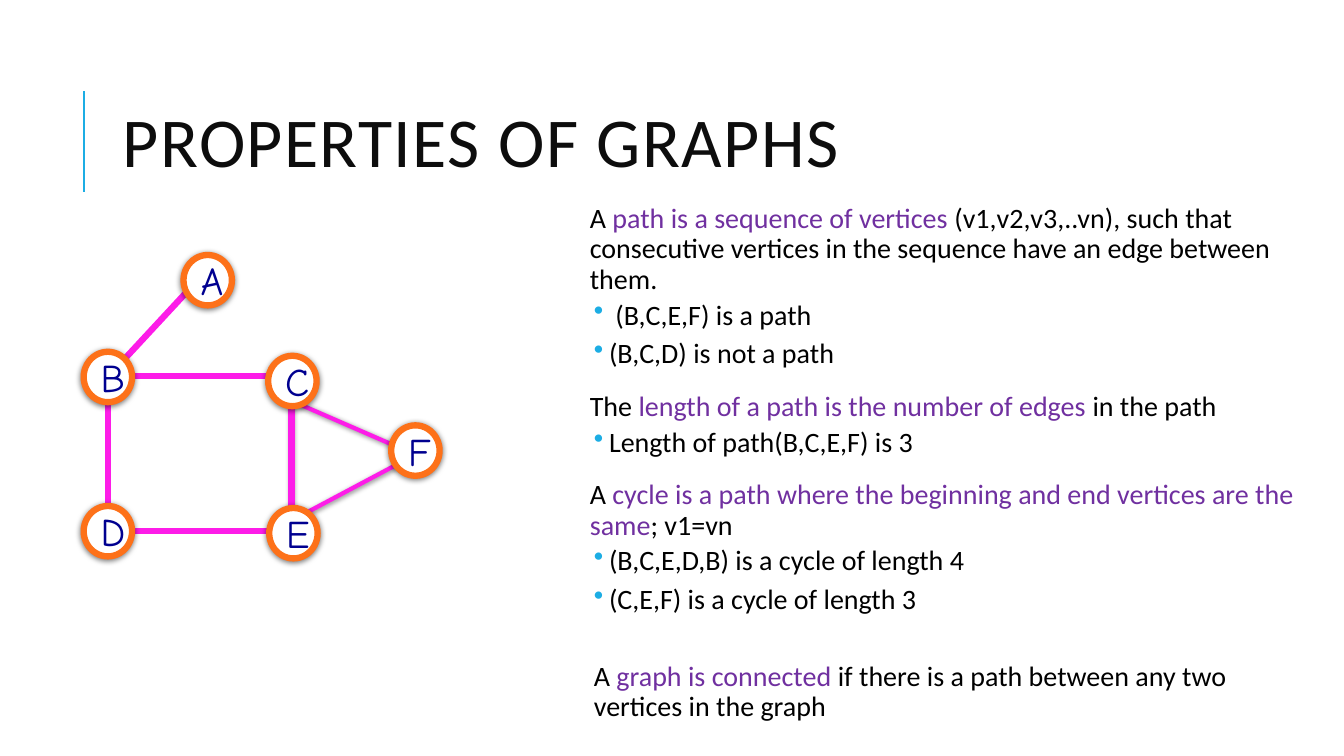
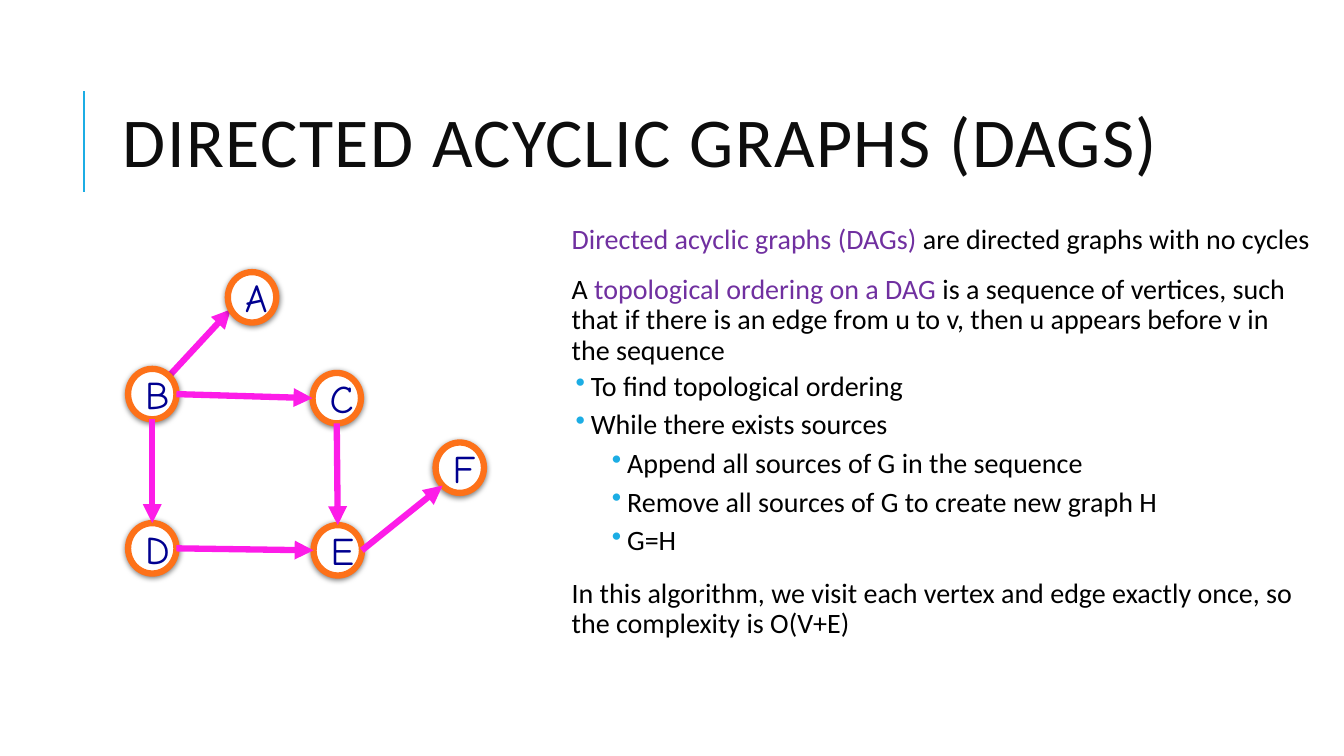
from dataclasses import dataclass

from lxml.etree import SubElement as Sub
from pptx import Presentation
from pptx.dml.color import RGBColor as RGB
from pptx.enum.shapes import MSO_CONNECTOR as LINK, MSO_SHAPE as KIND
from pptx.enum.text import MSO_ANCHOR as ANCHOR, PP_ALIGN as ALIGN
from pptx.oxml.ns import qn
from pptx.util import Inches, Pt


@dataclass(frozen=True)
class Theme:
    accent: str = "1CADE4"
    title: str = "0D0D0D"
    text: str = "000000"
    key: str = "7030A0"
    edge: str = "FD1CE8"
    ring: str = "FD7119"
    node: str = "FFFFFF"
    name: str = "000090"
    font: str = "Calibri"
    hand: str = "Comic Neue"
    big: float = 50
    body: float = 20
    mark: float = 28
    thick: float = 4.5
    thin: float = 3
    rule: float = 1.5


T = Theme()

# style: left margin, bullet, space before, space after
STYLES = {
    "lead": (0.1, False, 12, 2),
    "item": (0.29, True, 2, 4),
    "sub": (0.65, True, 2, 4),
    "note": (0.14, False, 29.5, 4),
}

# Words between bars take the key colour.
PATHS = [
    ("lead", "A |path is a sequence of vertices |(v1,v2,v3,..vn), such that "
             "consecutive vertices in the sequence have an edge between them."),
    ("item", " (B,C,E,F) is a path"),
    ("item", "(B,C,D) is not a path"),
    ("lead", "The |length of a path is the number of edges |in the path"),
    ("item", "Length of path(B,C,E,F) is 3"),
    ("lead", "A |cycle is a path where the beginning and end vertices are "
             "the same|; v1=vn"),
    ("item", "(B,C,E,D,B) is a cycle of length 4"),
    ("item", "(C,E,F) is a cycle of length 3"),
    ("note", "A |graph is connected| if there is a path between any two "
             "vertices in the graph"),
]
DAGS = [
    ("lead", "|Directed acyclic graphs (DAGs) |are directed graphs with no cycles"),
    ("lead", "A |topological ordering on a DAG |is a sequence of vertices, "
             "such that if there is an edge from u to v, then u appears "
             "before v in the sequence"),
    ("item", "To find topological ordering"),
    ("item", "While there exists sources"),
    ("sub", "Append all sources of G in the sequence"),
    ("sub", "Remove all sources of G to create new graph H"),
    ("sub", "G=H"),
    ("lead", "In this algorithm, we visit each vertex and edge exactly once, "
             "so the complexity is O(V+E)"),
]

# Node centres, shared by both graphs
NODES = {"C": (2.9, 3.78), "B": (1.07, 3.74), "D": (1.07, 5.27),
         "E": (2.91, 5.29), "F": (4.12, 4.47), "A": (2.06, 2.78)}
WIDE, HIGH = 0.48, 0.5
SHIFT = (0.44, 0.17)

# Points on a node, in half widths and half heights from its centre
SIDES = {"mid": (0, 0), "left": (-1, 0), "right": (1, 0), "top": (0, -1),
         "foot": (0, 1), "low left": (-0.71, 0.71), "near left": (-0.88, 0.48)}
BRANCH = ("B", "mid", "A", "near left")
ARROWS = [
    ("B", "right", "C", "left"),
    ("B", "foot", "D", "top"),
    ("D", "right", "E", "left"),
    ("C", "foot", "E", "top"),
    ("E", "right", "F", "low left"),
]


def paint(line, color, width):
    line.color.rgb = RGB.from_string(color)
    line.width = Pt(width)


def style(para, font, size, color):
    para.font.name, para.font.size = font, Pt(size)
    para.font.color.rgb = RGB.from_string(color)


def shade(shape):
    """Give the shape a soft shadow below."""
    shape.shadow.inherit = False
    fx = shape.element.spPr.find(qn("a:effectLst"))
    drop = Sub(fx, qn("a:outerShdw"), blurRad=str(Pt(4)), dist=str(Pt(1)),
               dir="5400000", rotWithShape="0")
    tone = Sub(drop, qn("a:srgbClr"), val="000000")
    Sub(tone, qn("a:alpha"), val="50000")


def stroke(slide, start, end, color, width, arrow=False):
    ends = [Inches(v) for v in (*start, *end)]
    link = slide.shapes.add_connector(LINK.STRAIGHT, *ends)
    paint(link.line, color, width)
    props = link.element.spPr
    if arrow:
        Sub(props.find(qn("a:ln")), qn("a:tailEnd"), type="triangle")
    Sub(props, qn("a:effectLst"))


def outline(slide, kind, box, width):
    shape = slide.shapes.add_shape(kind, *map(Inches, box))
    shape.fill.background()
    paint(shape.line, T.edge, width)
    shape.shadow.inherit = False
    return shape


def text_box(slide, box):
    frame = slide.shapes.add_textbox(*map(Inches, box)).text_frame
    frame.word_wrap = True
    return frame


def add_body(slide, box, rows):
    frame = text_box(slide, box)
    frame.margin_left = frame.margin_right = Inches(0.05)
    frame.margin_top = frame.margin_bottom = Inches(0.05)
    for i, (kind, words) in enumerate(rows):
        left, dot, before, after = STYLES[kind]
        para = frame.add_paragraph() if i else frame.paragraphs[0]
        para.line_spacing = 0.9
        para.space_before = Pt(before if i else 0)
        para.space_after = Pt(after)
        props = para._p.get_or_add_pPr()
        props.set("marL", str(Inches(left)))
        props.set("indent", str(Inches(-0.15 if dot else 0)))
        if dot:
            Sub(Sub(props, qn("a:buClr")), qn("a:srgbClr"), val=T.accent)
            Sub(props, qn("a:buChar"), char="•")
        style(para, T.font, T.body, T.text)
        for n, part in enumerate(words.split("|")):
            if part:
                run = para.add_run()
                run.text = part
                if n % 2:
                    run.font.color.rgb = RGB.from_string(T.key)


def add_page(deck, title, box, rows):
    slide = deck.slides.add_slide(deck.slide_layouts[6])
    stroke(slide, (0.83, 1.9), (0.83, 0.9), T.accent, T.rule)
    frame = text_box(slide, (1.12, 0.64, 10.63, 1.64))
    frame.vertical_anchor = ANCHOR.MIDDLE
    para = frame.paragraphs[0]
    para.line_spacing = 0.8
    style(para, T.font, T.big, T.title)
    run = para.add_run()
    run.text = title
    run._r.get_or_add_rPr().set("spc", "100")
    add_body(slide, box, rows)
    return slide


def add_nodes(slide, nodes):
    for name, (x, y) in nodes.items():
        box = (x - WIDE / 2, y - HIGH / 2, WIDE, HIGH)
        ring = slide.shapes.add_shape(KIND.OVAL, *map(Inches, box))
        ring.fill.solid()
        ring.fill.fore_color.rgb = RGB.from_string(T.node)
        paint(ring.line, T.ring, T.thick)
        shade(ring)
        ring.text_frame.vertical_anchor = ANCHOR.MIDDLE
        para = ring.text_frame.paragraphs[0]
        para.alignment = ALIGN.CENTER
        style(para, T.hand, T.mark, T.name)
        para.add_run().text = name


def add_edge(slide, nodes, edge, arrow=False):
    def spot(name, side):
        (x, y), (dx, dy) = nodes[name], SIDES[side]
        return x + dx * WIDE / 2, y + dy * HIGH / 2

    stroke(slide, spot(*edge[:2]), spot(*edge[2:]), T.edge, T.thick, arrow)


def main():
    deck = Presentation()
    deck.slide_width, deck.slide_height = Inches(13.33), Inches(7.5)

    slide = add_page(deck, "PROPERTIES OF GRAPHS", (5.7, 1.98, 7.22, 5.47), PATHS)
    add_edge(slide, NODES, BRANCH)
    tri = outline(slide, KIND.ISOSCELES_TRIANGLE, (2.92, 3.96, 1.18, 1.22), T.thin)
    tri.adjustments[0] = 0.45
    tri.rotation = 90
    shade(tri)
    outline(slide, KIND.RECTANGLE, (1.07, 3.73, 1.82, 1.54), T.thick)
    add_nodes(slide, NODES)

    slide = add_page(deck, "DIRECTED ACYCLIC GRAPHS (DAGS)",
                     (5.52, 2.19, 7.54, 4.67), DAGS)
    nodes = {k: (x + SHIFT[0], y + SHIFT[1]) for k, (x, y) in NODES.items()}
    add_edge(slide, nodes, BRANCH, arrow=True)
    add_nodes(slide, nodes)
    for edge in ARROWS:
        add_edge(slide, nodes, edge, arrow=True)

    deck.save("out.pptx")


if __name__ == "__main__":
    main()
